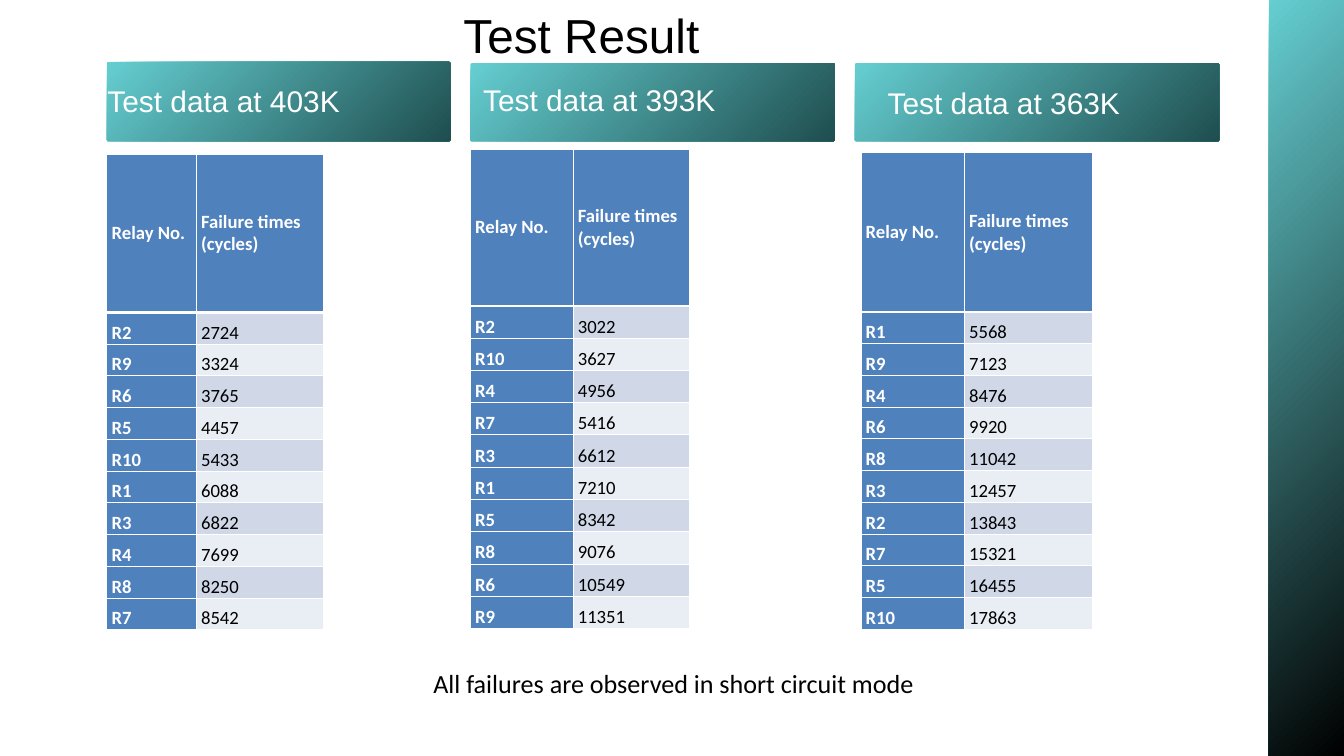
from dataclasses import dataclass

from lxml.etree import SubElement
from pptx import Presentation
from pptx.dml.color import RGBColor
from pptx.enum.shapes import MSO_SHAPE as Preset
from pptx.enum.text import MSO_ANCHOR as Anchor
from pptx.enum.text import MSO_AUTO_SIZE as AutoSize
from pptx.enum.text import PP_ALIGN as Align
from pptx.oxml.ns import qn
from pptx.util import Cm, Pt

TEAL, DARK_TEAL = "65CED1", "1F4E4F"
BLUE, BAND_DARK, BAND_LIGHT = "4F81BD", "D0D8E8", "E9EDF4"
WHITE, BLACK = "FFFFFF", "000000"


@dataclass
class Box:
    """Position and size in centimetres."""
    left: float
    top: float
    width: float
    height: float

    def lengths(self) -> list:
        return [Cm(value) for value in (self.left, self.top, self.width, self.height)]


@dataclass
class TestSeries:
    title: str
    banner: Box
    caption: Box
    caption_inset: tuple
    caption_spacing: float | None
    table_corner: tuple
    column_widths: tuple
    header_height: float
    row_height: float
    failures: dict


SERIES = [
    TestSeries(
        "Test data at 403K", Box(4.04, 2.34, 12.98, 3), Box(0.61, 3.2, 19.71, 1.32),
        (3.45, 0), 36.2, (4.04, 5.82), (3.38, 4.8), 5.99, 1.2,
        {"R2": 2724, "R9": 3324, "R6": 3765, "R5": 4457, "R10": 5433,
         "R1": 6088, "R3": 6822, "R4": 7699, "R8": 8250, "R7": 8542}),
    TestSeries(
        "Test data at 393K", Box(17.78, 2.39, 13.77, 2.95), Box(14.81, 3.15, 19.71, 1.32),
        (3.45, 0), 36.2, (17.78, 5.64), (3.88, 4.39), 5.92, 1.22,
        {"R2": 3022, "R10": 3627, "R4": 4956, "R7": 5416, "R3": 6612,
         "R1": 7210, "R5": 8342, "R8": 9076, "R6": 10549, "R9": 11351}),
    TestSeries(
        "Test data at 363K", Box(32.31, 2.39, 13.77, 2.95), Box(32.99, 3.07, 12.12, 1.63),
        (0.56, 0.13), None, (32.54, 5.77), (3.91, 4.85), 6.02, 1.2,
        {"R1": 5568, "R9": 7123, "R4": 8476, "R6": 9920, "R8": 11042,
         "R3": 12457, "R2": 13843, "R7": 15321, "R5": 16455, "R10": 17863}),
]


def rgb(color: str) -> RGBColor:
    return RGBColor.from_string(color)


def write_text(frame, text: str, *, size: float, color: str, font: str = "Calibri",
               bold: bool = False, align=Align.LEFT, spacing: float | None = None) -> None:
    paragraph = frame.paragraphs[0]
    paragraph.alignment = align
    if spacing:
        paragraph.line_spacing = Pt(spacing)
    run = paragraph.add_run()
    run.text = text
    run.font.name = font
    run.font.size = Pt(size)
    run.font.bold = bold
    run.font.color.rgb = rgb(color)


def add_text(slide, box: Box, text: str, inset: tuple, **style) -> None:
    """Add a text box; inset is the left and top margin in centimetres."""
    frame = slide.shapes.add_textbox(*box.lengths()).text_frame
    frame.word_wrap = True
    frame.auto_size = AutoSize.SHAPE_TO_FIT_TEXT
    frame.margin_left, frame.margin_top = (Cm(value) for value in inset)
    frame.margin_right, frame.margin_bottom = 0, frame.margin_top
    write_text(frame, text, **style)


def add_gradient_shape(slide, preset, box: Box, end_color: str):
    shape = slide.shapes.add_shape(preset, *box.lengths())
    shape.shadow.inherit = False
    shape.line.fill.background()
    shape.fill.gradient()
    shape.fill.gradient_angle = 315
    for stop, color in zip(shape.fill.gradient_stops, (TEAL, end_color)):
        stop.color.rgb = rgb(color)
    return shape


def set_borders(cell, **widths: float) -> None:
    """Draw white cell borders, 1 pt unless a side (L, R, T, B) gives a width."""
    properties = cell._tc.get_or_add_tcPr()
    for side in "LRTB":
        line = SubElement(properties, qn(f"a:ln{side}"), w=str(Pt(widths.get(side, 1))))
        fill = SubElement(line, qn("a:solidFill"))
        SubElement(fill, qn("a:srgbClr"), val=WHITE)


def add_failure_table(slide, series: TestSeries) -> None:
    rows = [("Relay No.", "Failure times (cycles)"), *series.failures.items()]
    heights = [series.header_height] + [series.row_height] * len(series.failures)
    box = Box(*series.table_corner, sum(series.column_widths), sum(heights))
    table = slide.shapes.add_table(len(rows), 2, *box.lengths()).table
    table.first_row = table.horz_banding = False
    for column, width in zip(table.columns, series.column_widths):
        column.width = Cm(width)
    for row_index, values in enumerate(rows):
        table.rows[row_index].height = Cm(heights[row_index])
        is_header = row_index == 0
        for column_index, value in enumerate(values):
            cell = table.cell(row_index, column_index)
            is_label = is_header or column_index == 0
            cell.margin_left = cell.margin_right = Cm(0.18)
            cell.margin_top = cell.margin_bottom = 0
            cell.vertical_anchor = Anchor.MIDDLE if is_header else Anchor.BOTTOM
            set_borders(cell, **({"B": 3} if is_header else {"T": 3} if row_index == 1 else {}))
            band = BAND_DARK if row_index % 2 else BAND_LIGHT
            cell.fill.solid()
            cell.fill.fore_color.rgb = rgb(BLUE if is_label else band)
            write_text(cell.text_frame, str(value), size=20, bold=is_label,
                       color=WHITE if is_label else BLACK,
                       align=Align.JUSTIFY if is_header and column_index == 0 else Align.LEFT)


def main() -> None:
    presentation = Presentation()
    presentation.slide_width, presentation.slide_height = Cm(50.8), Cm(28.58)
    slide = presentation.slides.add_slide(presentation.slide_layouts[6])

    add_gradient_shape(slide, Preset.RECTANGLE, Box(47.96, 0, 2.84, 28.58), BLACK)
    add_text(slide, Box(17.02, 0.36, 27.41, 2.11), "Test Result", (0.5, 0),
             size=51.1, color=BLACK, font="Arial", spacing=57.8)
    for series in SERIES:
        banner = add_gradient_shape(slide, Preset.ROUNDED_RECTANGLE, series.banner, DARK_TEAL)
        banner.adjustments[0] = 0.02
    for series in SERIES:
        add_text(slide, series.caption, series.title, series.caption_inset,
                 size=32, color=WHITE, font="Arial", spacing=series.caption_spacing)
        add_failure_table(slide, series)
    add_text(slide, Box(16.13, 25.1, 27.31, 1.45),
             "All failures are observed in short circuit mode", (0.25, 0.13),
             size=28, color=BLACK)

    presentation.save("out.pptx")


if __name__ == "__main__":
    main()
